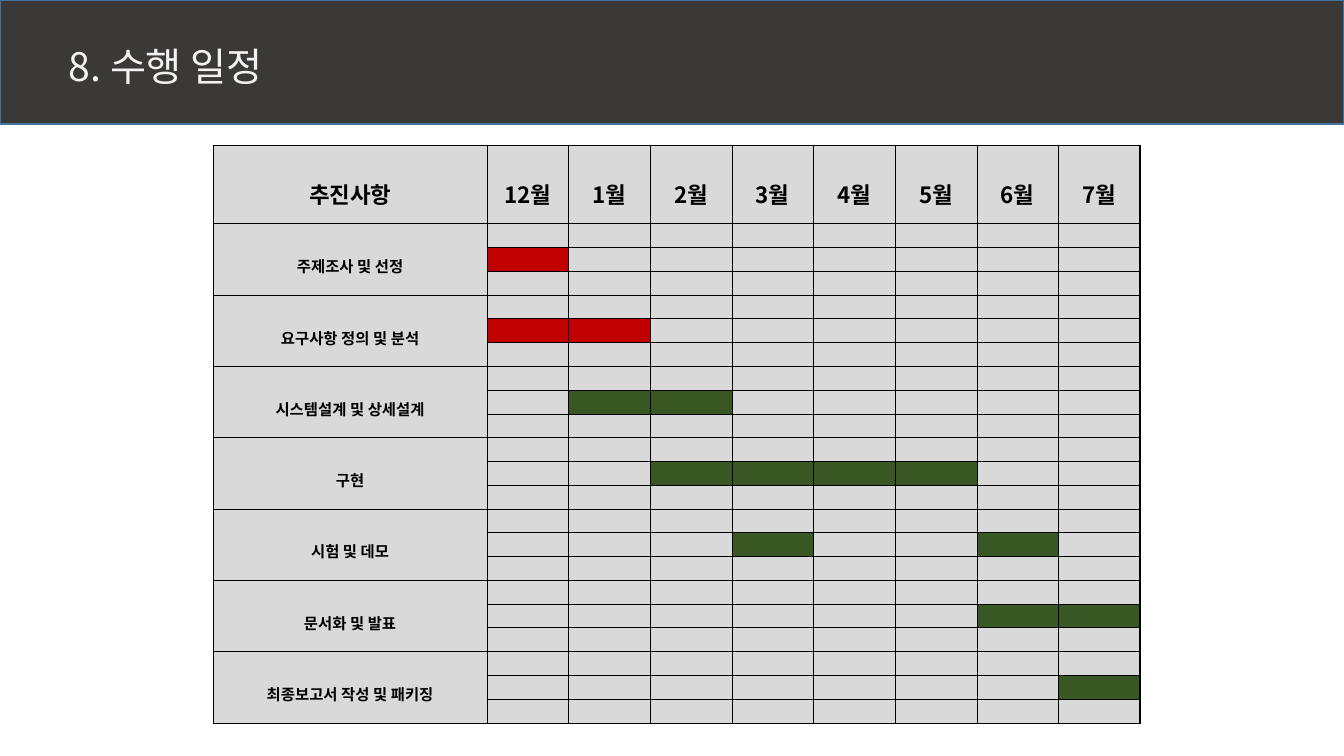
"""Build the project schedule slide with a Gantt-style table."""
from dataclasses import dataclass

from lxml.etree import SubElement
from pptx import Presentation
from pptx.dml.color import RGBColor
from pptx.enum.shapes import MSO_SHAPE
from pptx.enum.text import MSO_ANCHOR, MSO_AUTO_SIZE, PP_ALIGN
from pptx.oxml.ns import qn
from pptx.slide import Slide
from pptx.table import Table, _Cell
from pptx.text.text import TextFrame
from pptx.util import Pt


@dataclass(frozen=True)
class Theme:
    """Colours, font and type sizes of the slide."""
    font: str = "Noto Sans CJK KR"
    band: str = "3B3838"
    band_line: str = "43739E"
    title: str = "F2F2F2"
    text: str = "000000"
    grid: str = "000000"
    cell: str = "D9D9D9"
    planning: str = "C00000"
    building: str = "385723"
    title_size: float = 28
    header_size: float = 16
    label_size: float = 11
    empty_size: float = 5
    thin: float = 0.28
    thick: float = 1.7


@dataclass(frozen=True)
class Task:
    """One task with its active months and bar colour."""
    label: str
    months: tuple[int, ...]
    color: str


THEME = Theme()
SLIDE_WIDTH, SLIDE_HEIGHT = 960, 540
BAND_HEIGHT = 88.5
TABLE_LEFT, TABLE_TOP = 152.5, 103.9
LABEL_WIDTH, MONTH_WIDTH = 195.2, 58.35
HEADER_HEIGHT, ROW_HEIGHT = 55.8, 17
ROWS_PER_TASK = 3
CELL_MARGIN = 1.44
MONTHS = (12, 1, 2, 3, 4, 5, 6, 7)
TASKS = (
    Task("주제조사 및 선정", (12,), THEME.planning),
    Task("요구사항 정의 및 분석", (12, 1), THEME.planning),
    Task("시스템설계 및 상세설계", (1, 2), THEME.building),
    Task("구현", (2, 3, 4, 5), THEME.building),
    Task("시험 및 데모", (3, 6), THEME.building),
    Task("문서화 및 발표", (6, 7), THEME.building),
    Task("최종보고서 작성 및 패키징", (7,), THEME.building),
)


def write_text(frame: TextFrame, text: str, *, size: float, color: str,
               bold: bool = False, align: PP_ALIGN = PP_ALIGN.LEFT,
               spacing: float = 1.0) -> None:
    """Write one formatted paragraph."""
    paragraph = frame.paragraphs[0]
    paragraph.alignment = align
    paragraph.line_spacing = spacing
    run = paragraph.add_run()
    run.text = text
    run.font.size = Pt(size)
    run.font.bold = bold
    run.font.name = THEME.font
    run.font.color.rgb = RGBColor.from_string(color)
    SubElement(run.font._element, qn("a:ea"), typeface=THEME.font)


def draw_title(slide: Slide, text: str) -> None:
    """Draw the dark band and place the title over it."""
    title = slide.shapes.title
    band = slide.shapes.add_shape(MSO_SHAPE.RECTANGLE, 0, 0, Pt(SLIDE_WIDTH), Pt(BAND_HEIGHT))
    band.shadow.inherit = False
    band.fill.solid()
    band.fill.fore_color.rgb = RGBColor.from_string(THEME.band)
    band.line.color.rgb = RGBColor.from_string(THEME.band_line)
    band.line.width = Pt(1)
    title.element.addprevious(band.element)
    title.left, title.top, title.width, title.height = Pt(41.8), Pt(22.3), Pt(454.3), Pt(45.4)
    frame = title.text_frame
    frame.auto_size = MSO_AUTO_SIZE.NONE
    frame.word_wrap = True
    frame.vertical_anchor = MSO_ANCHOR.BOTTOM
    write_text(frame, text, size=THEME.title_size, color=THEME.title, spacing=0.9)


def format_cell(cell: _Cell, *, last: bool) -> None:
    """Give a cell its margins, borders, fill and small empty-line size."""
    cell.margin_left = cell.margin_right = Pt(CELL_MARGIN)
    cell.margin_top = cell.margin_bottom = Pt(CELL_MARGIN)
    cell.vertical_anchor = MSO_ANCHOR.MIDDLE
    properties = cell._tc.get_or_add_tcPr()
    for side in "LRTB":
        width = THEME.thick if last and side == "R" else THEME.thin
        line = SubElement(properties, qn(f"a:ln{side}"), w=str(Pt(width)))
        fill = SubElement(line, qn("a:solidFill"))
        SubElement(fill, qn("a:srgbClr"), val=THEME.grid)
    fill_cell(cell, THEME.cell)
    paragraph = cell.text_frame.paragraphs[0]
    SubElement(paragraph._p, qn("a:endParaRPr"), sz=str(int(THEME.empty_size * 100)))


def fill_cell(cell: _Cell, color: str) -> None:
    """Fill a cell with a solid colour."""
    cell.fill.solid()
    cell.fill.fore_color.rgb = RGBColor.from_string(color)


def write_cell(cell: _Cell, text: str, size: float) -> None:
    """Write centred bold text in a cell."""
    write_text(cell.text_frame, text, size=size, color=THEME.text, bold=True,
               align=PP_ALIGN.CENTER, spacing=1.6)


def add_grid(slide: Slide) -> Table:
    """Add the empty schedule grid."""
    row_count = 1 + ROWS_PER_TASK * len(TASKS)
    column_count = 1 + len(MONTHS)
    table = slide.shapes.add_table(
        row_count, column_count, Pt(TABLE_LEFT), Pt(TABLE_TOP),
        Pt(LABEL_WIDTH + MONTH_WIDTH * len(MONTHS)),
        Pt(HEADER_HEIGHT + ROW_HEIGHT * (row_count - 1))).table
    table.first_row = table.horz_banding = False
    for index, column in enumerate(table.columns):
        column.width = Pt(MONTH_WIDTH if index else LABEL_WIDTH)
    for index, row in enumerate(table.rows):
        row.height = Pt(ROW_HEIGHT if index else HEADER_HEIGHT)
        for position, cell in enumerate(row.cells):
            format_cell(cell, last=position == len(MONTHS))
    return table


def draw_schedule(slide: Slide) -> None:
    """Draw the headings, task labels and month bars."""
    table = add_grid(slide)
    headings = ("추진사항", *(f"{month}월" for month in MONTHS))
    for column, heading in enumerate(headings):
        write_cell(table.cell(0, column), heading, THEME.header_size)
    for index, task in enumerate(TASKS):
        top = 1 + index * ROWS_PER_TASK
        label = table.cell(top, 0)
        label.merge(table.cell(top + ROWS_PER_TASK - 1, 0))
        write_cell(label, task.label, THEME.label_size)
        for month in task.months:
            fill_cell(table.cell(top + 1, 1 + MONTHS.index(month)), task.color)


def main() -> None:
    """Build and save the presentation."""
    presentation = Presentation()
    presentation.slide_width = Pt(SLIDE_WIDTH)
    presentation.slide_height = Pt(SLIDE_HEIGHT)
    slide = presentation.slides.add_slide(presentation.slide_layouts.get_by_name("Title Only"))
    draw_title(slide, "8. 수행 일정")
    draw_schedule(slide)
    presentation.save("out.pptx")


if __name__ == "__main__":
    main()
